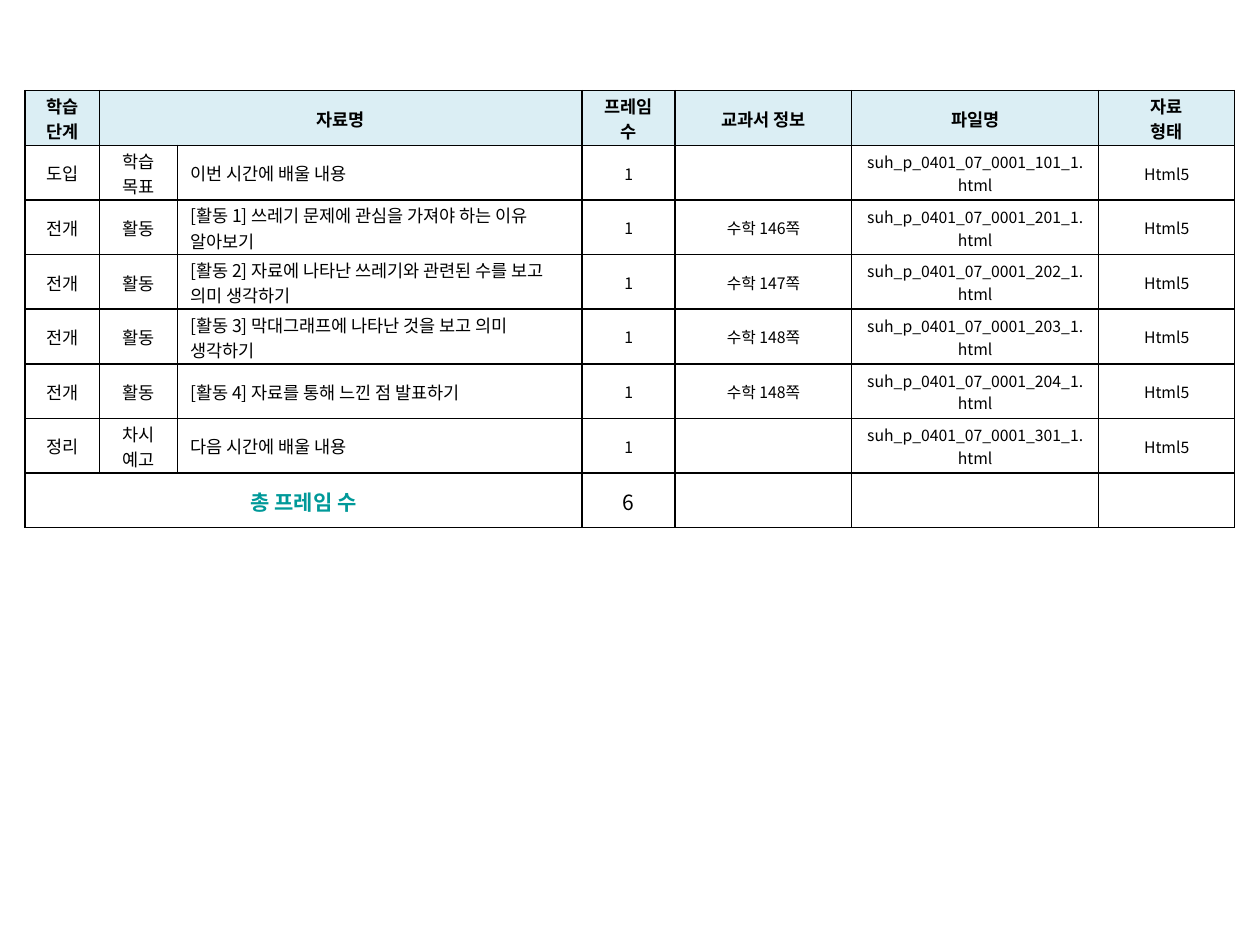
from dataclasses import dataclass

from pptx import Presentation
from pptx.dml.color import RGBColor
from pptx.enum.text import MSO_ANCHOR, PP_ALIGN
from pptx.oxml import parse_xml
from pptx.oxml.ns import nsdecls
from pptx.util import Inches, Pt


@dataclass(frozen=True)
class Theme:
    font: str = "Noto Sans CJK KR"
    ink: str = "000000"
    accent: str = "009999"
    header_fill: str = "DBEEF4"
    small: int = 9
    body: int = 10
    total: int = 12
    border: float = 1


theme = Theme()


def write(cell, text, size=theme.body, color=theme.ink, bold=False, align=PP_ALIGN.CENTER):
    cell.text_frame.text = text
    for para in cell.text_frame.paragraphs:
        para.alignment = align
        para.font.size = Pt(size)
        for span in para.runs:
            span.font.size = Pt(size)
            span.font.bold = bold
            span.font.name = theme.font
            span.font.color.rgb = RGBColor.from_string(color)
            span.font._element.get_or_add_latin().addnext(
                parse_xml(f'<a:ea {nsdecls("a")} typeface="{theme.font}"/>'))


def draw_borders(cell):
    properties = cell._tc.get_or_add_tcPr()
    for side in ("lnL", "lnR", "lnT", "lnB"):
        properties.append(parse_xml(
            f'<a:{side} {nsdecls("a")} w="{Pt(theme.border)}"><a:solidFill>'
            f'<a:srgbClr val="{theme.ink}"/></a:solidFill></a:{side}>'))


# Wording: stage, kind, title, textbook page, file number
headers = ["학습 단계", "자료명", "", "프레임 수", "교과서 정보", "파일명", "자료\n형태"]
lessons = [
    ("도입", "학습 목표", "이번 시간에 배울 내용", "", 101),
    ("전개", "활동", "[활동 1] 쓰레기 문제에 관심을 가져야 하는 이유 알아보기", "수학 146쪽", 201),
    ("전개", "활동", "[활동 2] 자료에 나타난 쓰레기와 관련된 수를 보고 의미 생각하기", "수학 147쪽", 202),
    ("전개", "활동", "[활동 3] 막대그래프에 나타난 것을 보고 의미 생각하기", "수학 148쪽", 203),
    ("전개", "활동", "[활동 4] 자료를 통해 느낀 점 발표하기", "수학 148쪽", 204),
    ("정리", "차시 예고", "다음 시간에 배울 내용", "", 301),
]
totals = ["총 프레임 수", "", "", str(len(lessons)), "", "", ""]

# Page
deck = Presentation()
deck.slide_width, deck.slide_height = Inches(10), Inches(7.5)
blank = next(layout for layout in deck.slide_layouts if layout.name == "Blank")
page = deck.slides.add_slide(blank)

# Table grid
column_widths = [0.59, 0.62, 3.21, 0.74, 1.4, 1.96, 1.08]
row_count = len(lessons) + 2
last = row_count - 1
table = page.shapes.add_table(
    row_count, len(column_widths), Inches(0.2), Inches(0.72),
    Inches(sum(column_widths)), Inches(3.47)).table
table.first_row = table.horz_banding = False
for column, width in zip(table.columns, column_widths):
    column.width = Inches(width)

# Borders, fills and insets
for number in range(row_count):
    for cell in table.rows[number].cells:
        draw_borders(cell)
        cell.vertical_anchor = MSO_ANCHOR.MIDDLE
        cell.margin_left = cell.margin_right = Inches(0.1)
        cell.margin_top, cell.margin_bottom = Inches(0.02), Inches(0.01)
        if number == 0:
            cell.fill.solid()
            cell.fill.fore_color.rgb = RGBColor.from_string(theme.header_fill)
        else:
            cell.fill.background()
table.cell(0, 1).merge(table.cell(0, 2))
table.cell(last, 0).merge(table.cell(last, 2))

# Header row
for cell, text in zip(table.rows[0].cells, headers):
    write(cell, text, bold=True)

# Lesson rows
for number, (stage, kind, title, textbook, file_number) in enumerate(lessons, start=1):
    file_name = f"suh_p_0401_07_0001_{file_number}_1.html"
    texts = [stage, kind, title, "1", textbook, file_name, "Html5"]
    for index, text in enumerate(texts):
        write(table.cell(number, index), text,
              size=theme.body if index < 3 else theme.small,
              align=PP_ALIGN.LEFT if index == 2 else PP_ALIGN.CENTER)

# Total row
for index, text in enumerate(totals):
    label = index == 0
    write(table.cell(last, index), text, size=theme.total, bold=label,
          color=theme.accent if label else theme.ink)

deck.save("out.pptx")
